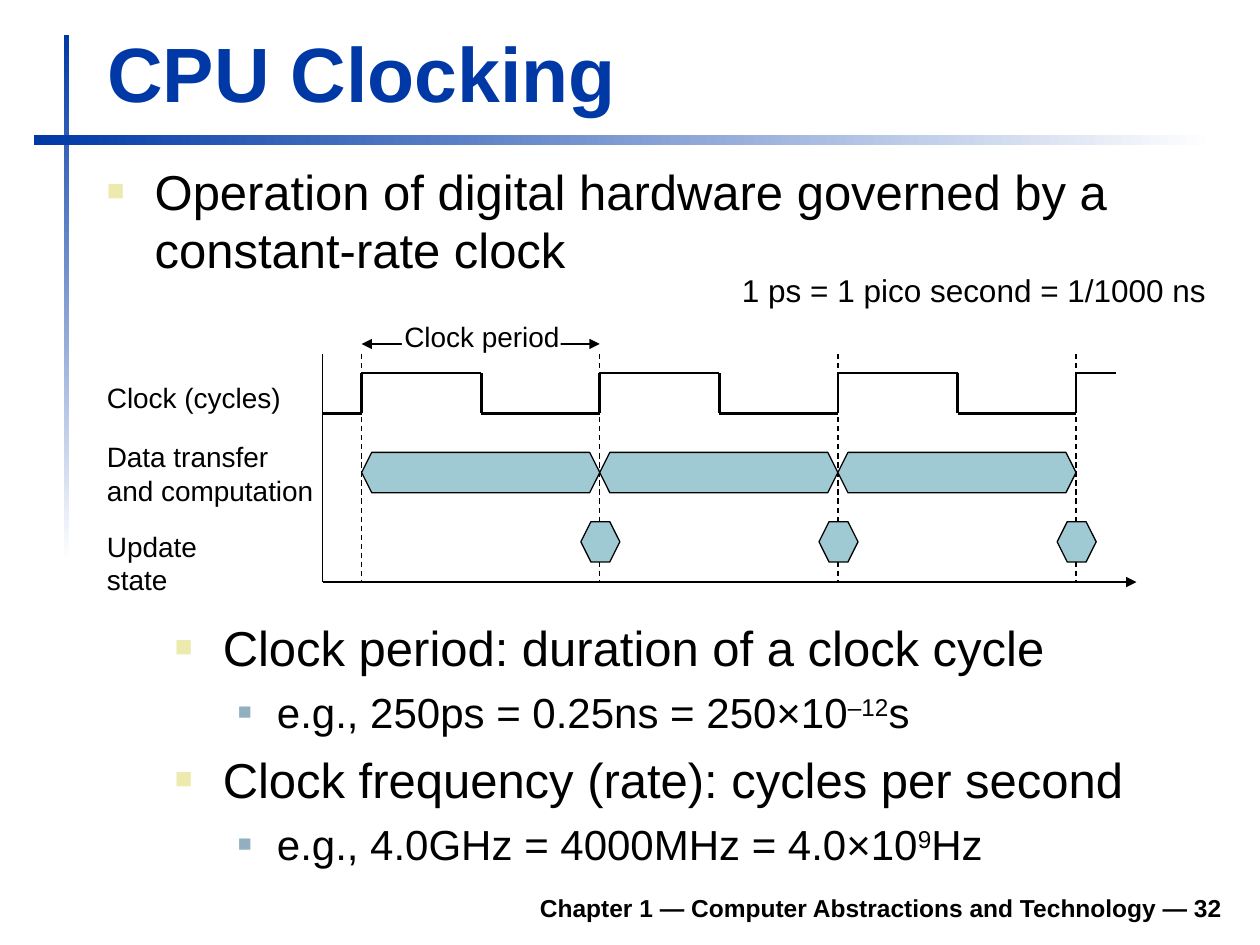
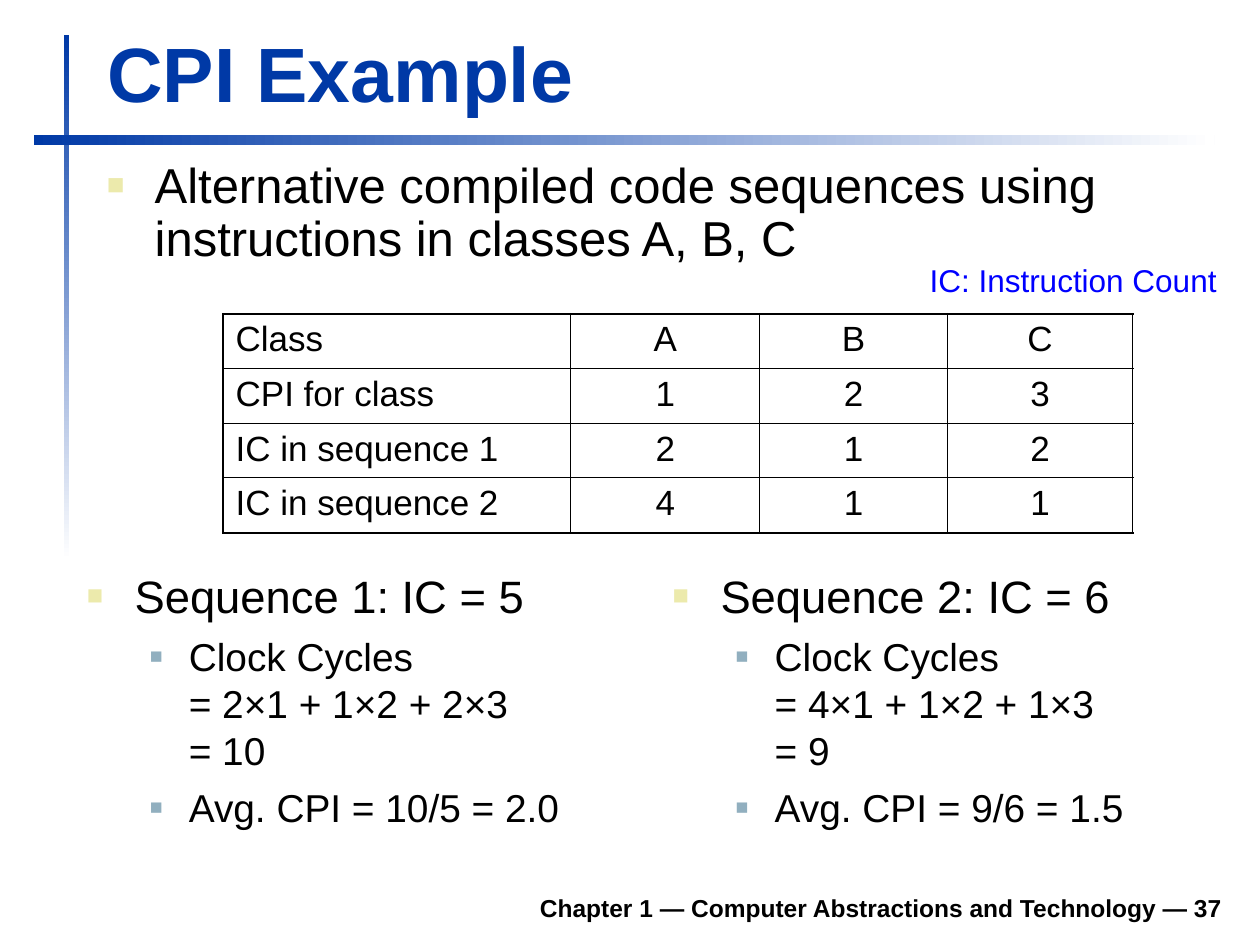
from dataclasses import dataclass

from lxml import etree
from pptx import Presentation
from pptx.dml.color import RGBColor
from pptx.enum.dml import MSO_LINE
from pptx.enum.shapes import MSO_CONNECTOR, MSO_SHAPE
from pptx.enum.text import MSO_ANCHOR, MSO_AUTO_SIZE, PP_ALIGN
from pptx.oxml.ns import qn
from pptx.util import Pt

PX = 9144  # EMU per px, 100 px to the inch
FONT = "Arial"
COLORS = {
    "brand": "0039A6",
    "white": "FFFFFF",
    "black": "000000",
    "note": "0000FF",
    "signal": "9FCAD3",
    "bullet_main": "ECEAAC",
    "bullet_sub": "91AFBF",
}
LEFT, CENTER, RIGHT = PP_ALIGN.LEFT, PP_ALIGN.CENTER, PP_ALIGN.RIGHT
TOP, BOTTOM = MSO_ANCHOR.TOP, MSO_ANCHOR.BOTTOM
NO_AUTOFIT = MSO_AUTO_SIZE.NONE
RECTANGLE = MSO_SHAPE.RECTANGLE
STRAIGHT = MSO_CONNECTOR.STRAIGHT
DASH = MSO_LINE.DASH
TITLE_ONLY = 5


@dataclass(frozen=True)
class Box:
    left: int
    top: int
    width: int
    height: int

    def emu(self) -> tuple[int, int, int, int]:
        return self.left * PX, self.top * PX, self.width * PX, self.height * PX


@dataclass(frozen=True)
class BulletStyle:
    color: str
    percent: int
    margin: int
    hanging: int
    space_before: int


@dataclass(frozen=True)
class Item:
    text: str
    level: int = 0


@dataclass(frozen=True)
class Label:
    text: str
    box: Box


BULLETS = (
    BulletStyle("bullet_main", 60, 38, 38, 7),
    BulletStyle("bullet_sub", 55, 81, 31, 6),
)

TITLE_BOX = Box(75, 16, 903, 83)
FOOTER_BOX = Box(185, 698, 795, 39)
VERTICAL_BAND = Box(51, 28, 4, 417)
HORIZONTAL_BAND = Box(27, 107, 937, 8)

# Timing diagram
PERIOD = 189
HALF_PERIOD = 95
EDGES = [287 + PERIOD * cycle for cycle in range(4)]
AXIS_X, AXIS_Y, AXIS_END = 256, 462, 902
GUIDE_TOP = 281
CLOCK_HIGH, CLOCK_LOW = 296, 328
CLOCK_END = 886
PERIOD_ARROW_Y = 273
ROW_LABELS = (
    Label("Clock (cycles)", Box(75, 297, 158, 37)),
    Label("Data transfer\nand computation", Box(75, 344, 184, 64)),
    Label("Update state", Box(75, 415, 145, 37)),
)
CLOCK_NOTES = (
    Item("Clock period: duration of a clock cycle"),
    Item("e.g., 250ps = 0.25ns = 250×10^–12^s", 1),
    Item("Clock frequency (rate): cycles per second"),
    Item("e.g., 4.0GHz = 4000MHz = 4.0×10^9^Hz", 1),
)

# Instruction counts
CLASS_ROWS = (
    ("Class", "A", "B", "C"),
    ("CPI for class", "1", "2", "3"),
    ("IC in sequence 1", "2", "1", "2"),
    ("IC in sequence 2", "4", "1", "1"),
)
CLASS_COLUMNS = (276, 150, 149, 147)
CLASS_ROW_HEIGHTS = (43, 43, 43, 44)
SEQUENCES = (
    (
        Item("Sequence 1: IC = 5"),
        Item("Clock Cycles\n= 2×1 + 1×2 + 2×3\n= 10", 1),
        Item("Avg. CPI = 10/5 = 2.0", 1),
    ),
    (
        Item("Sequence 2: IC = 6"),
        Item("Clock Cycles\n= 4×1 + 1×2 + 1×3\n= 9", 1),
        Item("Avg. CPI = 9/6 = 1.5", 1),
    ),
)


def rgb(name: str) -> RGBColor:
    return RGBColor.from_string(COLORS[name])


def add_child(parent, tag: str, **attributes):
    return etree.SubElement(parent, qn(tag), attributes)


def write(paragraph, text: str, *, size: float, color: str = "black",
          bold: bool = False, align=LEFT) -> None:
    """Fill a paragraph; newlines break lines and ^marks^ raise text."""
    paragraph.alignment = align
    for line_number, line in enumerate(text.split("\n")):
        if line_number:
            paragraph.add_line_break()
        for part_number, part in enumerate(line.split("^")):
            run = paragraph.add_run()
            run.text = part
            run.font.name = FONT
            run.font.size = Pt(size)
            run.font.bold = bold
            run.font.color.rgb = rgb(color)
            if part_number % 2:
                run._r.get_or_add_rPr().set("baseline", "30000")


def add_frame(slide, box: Box, *, wrap: bool = True, anchor=TOP):
    frame = slide.shapes.add_textbox(*box.emu()).text_frame
    frame.word_wrap = wrap
    frame.vertical_anchor = anchor
    return frame


def add_text(slide, text: str, box: Box, *, wrap: bool = True, anchor=TOP,
             **text_format) -> None:
    frame = add_frame(slide, box, wrap=wrap, anchor=anchor)
    write(frame.paragraphs[0], text, **text_format)


def set_bullet(paragraph, style: BulletStyle) -> None:
    properties = paragraph._p.get_or_add_pPr()
    properties.set("marL", str(style.margin * PX))
    properties.set("indent", str(-style.hanging * PX))
    color = add_child(properties, "a:buClr")
    add_child(color, "a:srgbClr", val=COLORS[style.color])
    add_child(properties, "a:buSzPct", val=str(style.percent * 1000))
    add_child(properties, "a:buFont", typeface=FONT)
    add_child(properties, "a:buChar", char="■")


def add_bullets(slide, items: tuple[Item, ...], box: Box, *,
                sizes: tuple[float, float] = (28, 24),
                line_spacing: float = 1.0) -> None:
    frame = add_frame(slide, box)
    for number, item in enumerate(items):
        paragraph = frame.add_paragraph() if number else frame.paragraphs[0]
        style = BULLETS[item.level]
        set_bullet(paragraph, style)
        paragraph.level = item.level
        paragraph.line_spacing = line_spacing
        paragraph.space_before = Pt(style.space_before if number else 0)
        write(paragraph, item.text, size=sizes[item.level])


def add_rectangle(slide, box: Box):
    shape = slide.shapes.add_shape(RECTANGLE, *box.emu())
    shape.shadow.inherit = False
    shape.line.fill.background()
    return shape


def add_band(slide, box: Box, angle: int) -> None:
    fill = add_rectangle(slide, box).fill
    fill.gradient()
    fill.gradient_angle = angle
    for stop, color in zip(fill.gradient_stops, ("brand", "white")):
        stop.color.rgb = rgb(color)


def add_line(slide, start: tuple[int, int], end: tuple[int, int], *,
             width: float = 0.75, dash=None, head: bool = False,
             tail: bool = False) -> None:
    connector = slide.shapes.add_connector(
        STRAIGHT, *(value * PX for value in (*start, *end)))
    connector.line.color.rgb = rgb("black")
    connector.line.width = Pt(width)
    if dash:
        connector.line.dash_style = dash
    outline = connector.line._get_or_add_ln()
    for wanted, tag in ((head, "a:headEnd"), (tail, "a:tailEnd")):
        if wanted:
            add_child(outline, tag, type="triangle")
    add_child(connector._element.spPr, "a:effectLst")


def add_hexagon(slide, box: Box, notch: int = 8) -> None:
    right, bottom = box.left + box.width, box.top + box.height
    middle = box.top + box.height // 2
    builder = slide.shapes.build_freeform(box.left, middle, scale=PX)
    builder.add_line_segments([
        (box.left + notch, box.top), (right - notch, box.top),
        (right, middle), (right - notch, bottom), (box.left + notch, bottom),
    ])
    shape = builder.convert_to_shape()
    shape.shadow.inherit = False
    shape.fill.solid()
    shape.fill.fore_color.rgb = rgb("signal")
    shape.line.color.rgb = rgb("black")
    shape.line.width = Pt(0.75)


def add_titled_slide(presentation, title: str, number: int):
    slide = presentation.slides.add_slide(presentation.slide_layouts[TITLE_ONLY])
    add_band(slide, VERTICAL_BAND, 270)
    add_band(slide, HORIZONTAL_BAND, 0)
    placeholder = slide.shapes.title
    (placeholder.left, placeholder.top,
     placeholder.width, placeholder.height) = TITLE_BOX.emu()
    frame = placeholder.text_frame
    frame.auto_size = NO_AUTOFIT
    frame.vertical_anchor = BOTTOM
    write(frame.paragraphs[0], title, size=44, color="brand", bold=True)
    add_text(slide, f"Chapter 1 — Computer Abstractions and Technology — {number}",
             FOOTER_BOX, anchor=BOTTOM, size=14, bold=True, align=RIGHT)
    return slide


def draw_clock_wave(slide) -> None:
    points = [(AXIS_X, CLOCK_LOW)]
    for edge in EDGES:
        points += [(edge, CLOCK_LOW), (edge, CLOCK_HIGH)]
        if edge != EDGES[-1]:
            fall = edge + HALF_PERIOD
            points += [(fall, CLOCK_HIGH), (fall, CLOCK_LOW)]
    points.append((CLOCK_END, CLOCK_HIGH))
    for start, end in zip(points, points[1:]):
        add_line(slide, start, end, width=1.5)


def draw_timing_diagram(slide) -> None:
    add_line(slide, (EDGES[0], PERIOD_ARROW_Y), (EDGES[1], PERIOD_ARROW_Y),
             head=True, tail=True)
    for edge in EDGES:
        add_line(slide, (edge, GUIDE_TOP), (edge, AXIS_Y), dash=DASH)
    draw_clock_wave(slide)
    for start, end in zip(EDGES, EDGES[1:]):
        add_hexagon(slide, Box(start, 359, PERIOD, 32))
        add_hexagon(slide, Box(end - 15, 414, 31, 32))
    add_line(slide, (AXIS_X, AXIS_Y), (AXIS_END, AXIS_Y), tail=True)
    add_line(slide, (AXIS_X, AXIS_Y), (AXIS_X, GUIDE_TOP))
    for label in ROW_LABELS:
        add_text(slide, label.text, label.box, wrap=False, size=16)
    label_gap = add_rectangle(slide, Box(319, 265, 126, 16))
    label_gap.fill.solid()
    label_gap.fill.fore_color.rgb = rgb("white")
    add_text(slide, "Clock period", Box(311, 249, 143, 37), wrap=False,
             size=16, align=CENTER)


def set_borders(cell, outer_sides: dict[str, bool]) -> None:
    properties = cell._tc.get_or_add_tcPr()
    for position, (side, outer) in enumerate(outer_sides.items()):
        border = etree.Element(qn(f"a:ln{side}"), w=str(Pt(1.08 if outer else 0.45)))
        fill = add_child(border, "a:solidFill")
        add_child(fill, "a:srgbClr", val=COLORS["black"])
        properties.insert(position, border)


def draw_class_table(slide) -> None:
    box = Box(177, 249, sum(CLASS_COLUMNS), sum(CLASS_ROW_HEIGHTS))
    last_row, last_column = len(CLASS_ROWS) - 1, len(CLASS_COLUMNS) - 1
    table = slide.shapes.add_table(last_row + 1, last_column + 1, *box.emu()).table
    table.first_row = table.horz_banding = False
    for column, width in zip(table.columns, CLASS_COLUMNS):
        column.width = width * PX
    for row, height in zip(table.rows, CLASS_ROW_HEIGHTS):
        row.height = height * PX
    for row, values in enumerate(CLASS_ROWS):
        for column, value in enumerate(values):
            cell = table.cell(row, column)
            cell.fill.background()
            set_borders(cell, {"L": column == 0, "R": column == last_column,
                               "T": row == 0, "B": row == last_row})
            write(cell.text_frame.paragraphs[0], value, size=20,
                  align=CENTER if column else LEFT)


def build_clocking_slide(presentation) -> None:
    slide = add_titled_slide(presentation, "CPU Clocking", 32)
    add_bullets(slide, (Item("Operation of digital hardware governed by a "
                             "constant-rate clock"),), Box(75, 123, 904, 134))
    draw_timing_diagram(slide)
    add_bullets(slide, CLOCK_NOTES, Box(129, 485, 850, 213))
    add_text(slide, "1 ps = 1 pico second = 1/1000 ns", Box(579, 210, 402, 40), size=18)


def build_cpi_slide(presentation) -> None:
    slide = add_titled_slide(presentation, "CPI Example", 37)
    add_bullets(slide, (Item("Alternative compiled code sequences using "
                             "instructions in classes A, B, C"),),
                Box(75, 123, 904, 109), line_spacing=0.9)
    draw_class_table(slide)
    for number, items in enumerate(SEQUENCES):
        add_bullets(slide, items, Box(59 + 465 * number, 446, 425, 228),
                    sizes=(25.9, 22.2))
    add_text(slide, "IC: Instruction Count", Box(728, 202, 260, 40),
             size=18, color="note")


def main() -> None:
    presentation = Presentation()
    presentation.slide_width, presentation.slide_height = 1000 * PX, 750 * PX
    build_clocking_slide(presentation)
    build_cpi_slide(presentation)
    presentation.save("out.pptx")


if __name__ == "__main__":
    main()
